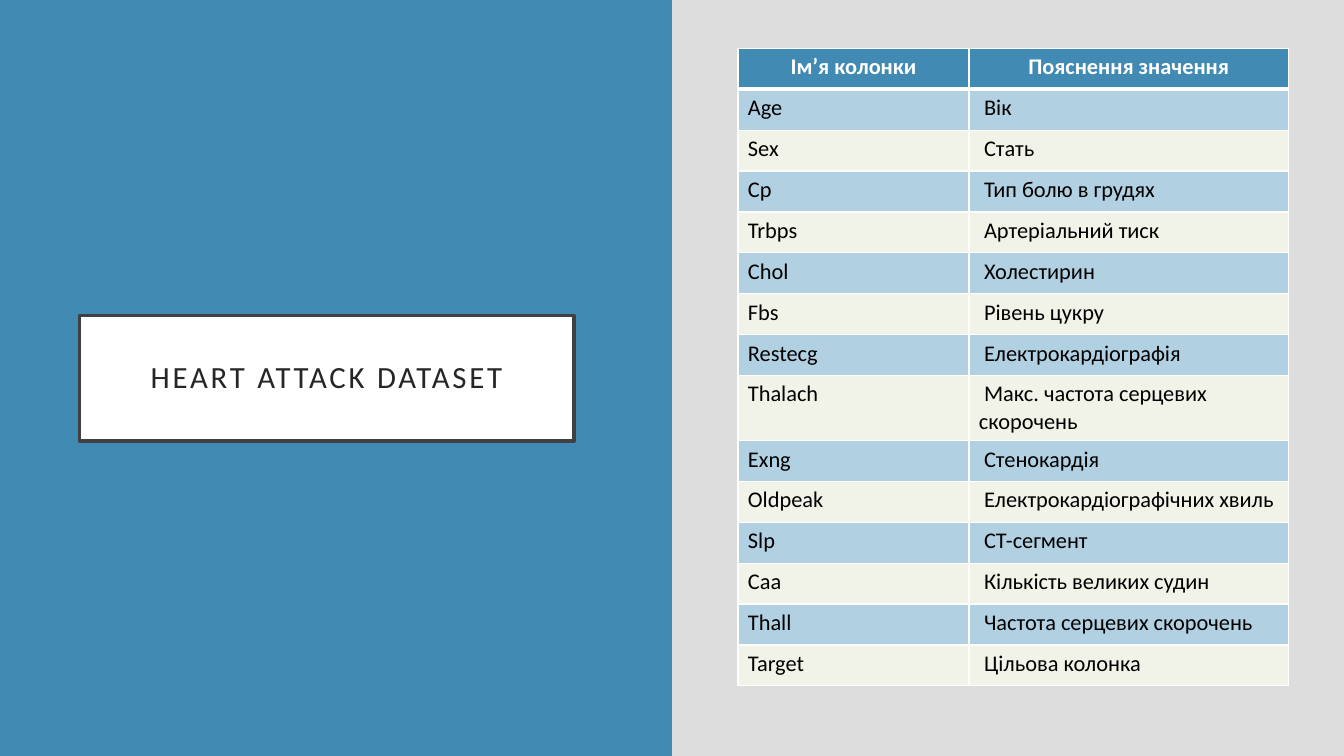
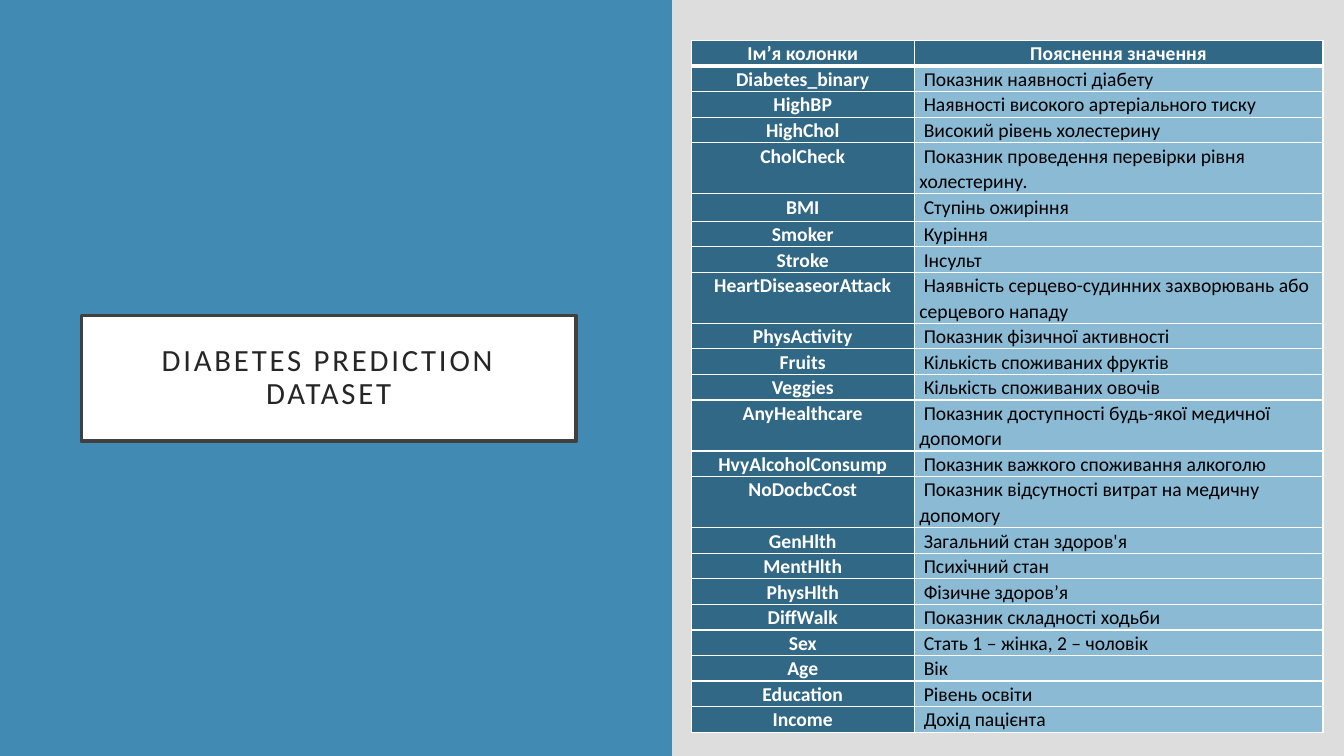
"""Build two slides, each describing the columns of a medical dataset."""
from dataclasses import dataclass, field

from lxml.etree import SubElement
from pptx import Presentation
from pptx.dml.color import RGBColor
from pptx.enum.shapes import MSO_SHAPE as Preset
from pptx.enum.text import MSO_ANCHOR as Anchor, PP_ALIGN as Align
from pptx.oxml.ns import qn
from pptx.presentation import Presentation as Deck
from pptx.shapes.autoshape import Shape
from pptx.slide import Slide
from pptx.table import _Cell as Cell
from pptx.text.text import TextFrame
from pptx.util import Cm, Length, Pt

WHITE = RGBColor(0xFF, 0xFF, 0xFF)
BLACK = RGBColor(0x00, 0x00, 0x00)
BACKDROP = RGBColor(0xDD, 0xDD, 0xDD)
BLUE = RGBColor(0x41, 0x8A, 0xB3)
DEEP_BLUE = RGBColor(0x31, 0x68, 0x86)
MID_BLUE = RGBColor(0x8A, 0xBA, 0xD4)
PALE_BLUE = RGBColor(0xB1, 0xD1, 0xE3)
CREAM = RGBColor(0xF1, 0xF3, 0xE8)
FRAME_GREY = RGBColor(0x40, 0x40, 0x40)
TITLE_GREY = RGBColor(0x26, 0x26, 0x26)

FONT = "Calibri"
SLIDE_WIDTH, SLIDE_HEIGHT = Cm(33.87), Cm(19.05)
HEADINGS = ("Ім’я колонки", "Пояснення значення")
THIN, THICK = Pt(1), Pt(3)

HEART_COLUMNS = (
    ("Age", "Вік"),
    ("Sex", "Стать"),
    ("Cp", "Тип болю в грудях"),
    ("Trbps", "Артеріальний тиск"),
    ("Chol", "Холестирин"),
    ("Fbs", "Рівень цукру"),
    ("Restecg", "Електрокардіографія"),
    ("Thalach", "Макс. частота серцевих скорочень"),
    ("Exng", "Стенокардія"),
    ("Oldpeak", "Електрокардіографічних хвиль"),
    ("Slp", "СТ-сегмент"),
    ("Caa", "Кількість великих судин"),
    ("Thall", "Частота серцевих скорочень"),
    ("Target", "Цільова колонка"),
)
DIABETES_COLUMNS = (
    ("Diabetes_binary", "Показник наявності діабету"),
    ("HighBP", "Наявності високого артеріального тиску"),
    ("HighChol", "Високий рівень холестерину"),
    ("CholCheck", "Показник проведення перевірки рівня холестерину."),
    ("BMI", "Ступінь ожиріння"),
    ("Smoker", "Куріння"),
    ("Stroke", "Інсульт"),
    ("HeartDiseaseorAttack", "Наявність серцево-судинних захворювань або серцевого нападу"),
    ("PhysActivity", "Показник фізичної активності"),
    ("Fruits", "Кількість споживаних фруктів"),
    ("Veggies", "Кількість споживаних овочів"),
    ("AnyHealthcare", "Показник доступності будь-якої медичної допомоги"),
    ("HvyAlcoholConsump", "Показник важкого споживання алкоголю"),
    ("NoDocbcCost", "Показник відсутності витрат на медичну допомогу"),
    ("GenHlth", "Загальний стан здоров'я"),
    ("MentHlth", "Психічний стан"),
    ("PhysHlth", "Фізичне здоров’я"),
    ("DiffWalk", "Показник складності ходьби"),
    ("Sex", "Стать 1 – жінка, 2 – чоловік"),
    ("Age", "Вік"),
    ("Education", "Рівень освіти"),
    ("Income", "Дохід пацієнта"),
)


@dataclass(frozen=True)
class TableStyle:
    """Look of a dataset table."""

    header_fill: RGBColor
    body_fills: tuple[RGBColor, ...]
    size: float
    indent: Length
    side_margin: Length
    end_margin: Length
    line_spacing: float = 1.0
    names_as_headings: bool = False


@dataclass(frozen=True)
class Dataset:
    """One slide: its title and its table of columns."""

    title: str
    title_left: Length
    columns: tuple[tuple[str, str], ...]
    left: Length
    top: Length
    widths: tuple[Length, Length]
    row_height: Length
    style: TableStyle
    special_heights: dict[str, Length] = field(default_factory=dict)


BANDED = TableStyle(BLUE, (PALE_BLUE, CREAM), 16, Cm(0.13), Cm(0.25), Cm(0.13))
COMPACT = TableStyle(DEEP_BLUE, (MID_BLUE,), 14, Cm(0.11), Cm(0.13), Cm(0), 1.07, True)
TWO_LINES = Cm(1.28)

DATASETS = (
    Dataset("HEART ATTACK DATASET", Cm(2), HEART_COLUMNS, Cm(18.6), Cm(1.22),
            (Cm(5.82), Cm(8.05)), Cm(1.03), BANDED, {"Thalach": Cm(1.64)}),
    Dataset("DIABETES PREDICTION DATASET", Cm(2.05), DIABETES_COLUMNS, Cm(17.42), Cm(1.02),
            (Cm(5.62), Cm(10.3)), Cm(0.64), COMPACT,
            {"BMI": Cm(0.69), "CholCheck": TWO_LINES, "HeartDiseaseorAttack": TWO_LINES,
             "AnyHealthcare": TWO_LINES, "NoDocbcCost": TWO_LINES}),
)


def write_text(frame: TextFrame, text: str, *, size: float, colour: RGBColor,
               bold: bool = False, align: Align = Align.LEFT, line_spacing: float = 1.0,
               indent: int = 0, tracking: int = 0) -> None:
    """Write one formatted paragraph into a text frame."""
    para = frame.paragraphs[0]
    para.alignment = align
    para.line_spacing = line_spacing
    if indent:
        properties = para._p.get_or_add_pPr()
        properties.set("marL", "0")
        properties.set("indent", str(int(indent)))
    span = para.add_run()
    span.text = text
    span.font.name = FONT
    span.font.size = Pt(size)
    span.font.bold = bold
    span.font.color.rgb = colour
    if tracking:
        span.font._element.set("spc", str(tracking))


def add_box(page: Slide, left: int, top: int, width: int, height: int, fill: RGBColor) -> Shape:
    """Add a plain filled rectangle without outline or shadow."""
    box = page.shapes.add_shape(Preset.RECTANGLE, left, top, width, height)
    box.shadow.inherit = False
    box.fill.solid()
    box.fill.fore_color.rgb = fill
    box.line.fill.background()
    return box


def add_title(page: Slide, text: str, left: int) -> None:
    """Add the framed title box."""
    box = add_box(page, left, Cm(7.95), Cm(12.47), Cm(3.17), WHITE)
    box.line.color.rgb = FRAME_GREY
    box.line.width = Pt(2.5)
    frame = box.text_frame
    frame.word_wrap = True
    frame.vertical_anchor = Anchor.MIDDLE
    frame.margin_left = frame.margin_right = frame.margin_top = frame.margin_bottom = Cm(0.5)
    write_text(frame, text, size=22, colour=TITLE_GREY, align=Align.CENTER,
               line_spacing=0.9, tracking=200)


def set_borders(cell: Cell, top: int, bottom: int) -> None:
    """Draw white borders around a cell."""
    properties = cell._tc.get_or_add_tcPr()
    for side, width in (("L", THIN), ("R", THIN), ("T", top), ("B", bottom)):
        line = SubElement(properties, qn(f"a:ln{side}"), w=str(int(width)))
        SubElement(SubElement(line, qn("a:solidFill")), qn("a:srgbClr"), val=str(WHITE))


def fill_cell(cell: Cell, text: str, row: int, column: int, style: TableStyle) -> None:
    """Format one table cell and write its text."""
    is_header = row == 0
    strong = is_header or (style.names_as_headings and column == 0)
    set_borders(cell, THICK if row == 1 else THIN, THICK if is_header else THIN)
    cell.fill.solid()
    body_fill = style.body_fills[(row - 1) % len(style.body_fills)]
    cell.fill.fore_color.rgb = style.header_fill if strong else body_fill
    cell.margin_left = cell.margin_right = style.side_margin
    cell.margin_top = cell.margin_bottom = style.end_margin
    write_text(cell.text_frame, text, size=style.size, colour=WHITE if strong else BLACK,
               bold=strong, align=Align.CENTER if strong else Align.LEFT,
               line_spacing=style.line_spacing,
               indent=style.indent if column == 1 and not is_header else 0)


def add_column_table(page: Slide, dataset: Dataset) -> None:
    """Add the table that explains the columns of a dataset."""
    rows = (HEADINGS, *dataset.columns)
    heights = [dataset.special_heights.get(name, dataset.row_height) for name, _ in rows]
    table = page.shapes.add_table(len(rows), len(HEADINGS), dataset.left, dataset.top,
                                  sum(dataset.widths), sum(heights)).table
    table.horz_banding = False
    for column, width in zip(table.columns, dataset.widths):
        column.width = width
    for row, (texts, height) in enumerate(zip(rows, heights)):
        table.rows[row].height = height
        for column, text in enumerate(texts):
            fill_cell(table.cell(row, column), text, row, column, dataset.style)


def add_dataset_page(deck: Deck, dataset: Dataset) -> None:
    """Add one slide with the blue half, the title and the table."""
    page = deck.slides.add_slide(deck.slide_layouts[6])
    add_box(page, 0, 0, SLIDE_WIDTH // 2, SLIDE_HEIGHT, BLUE)
    add_title(page, dataset.title, dataset.title_left)
    add_column_table(page, dataset)


def main() -> None:
    """Build and save the deck."""
    deck = Presentation()
    deck.slide_width, deck.slide_height = SLIDE_WIDTH, SLIDE_HEIGHT
    backdrop = deck.slide_master.background.fill
    backdrop.solid()
    backdrop.fore_color.rgb = BACKDROP
    for dataset in DATASETS:
        add_dataset_page(deck, dataset)
    deck.save("out.pptx")


if __name__ == "__main__":
    main()
